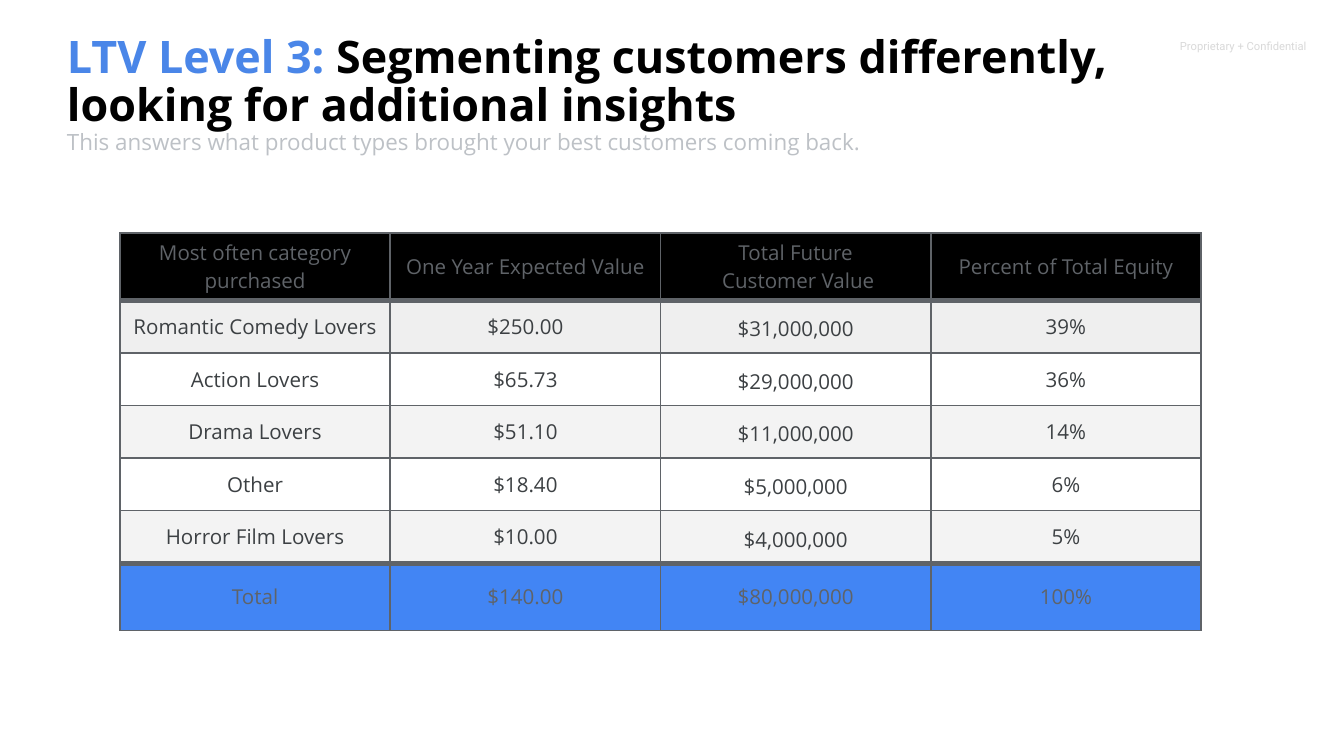
"""Build the customer lifetime value slide with a segment table."""
from lxml import etree
from pptx import Presentation
from pptx.dml.color import RGBColor
from pptx.enum.text import MSO_ANCHOR, PP_ALIGN
from pptx.oxml.ns import qn
from pptx.util import Pt

MIDDLE = MSO_ANCHOR.MIDDLE
CENTER = PP_ALIGN.CENTER
GRAY = "5F6368"
HEADER_ROW, FIRST_ROW, TOTAL_ROW = 0, 1, 6
FUTURE_VALUE_COLUMN = 2


def add_run(paragraph, text, size, color, font="Open Sans", bold=False):
    run = paragraph.add_run()
    run.text = text
    run.font.name = font
    run.font.size = Pt(size)
    run.font.bold = bold
    run.font.color.rgb = RGBColor.from_string(color)


def add_text_box(slide, left, top, width, height, horizontal_inset, vertical_inset):
    frame = slide.shapes.add_textbox(Pt(left), Pt(top), Pt(width), Pt(height)).text_frame
    frame.word_wrap = True
    frame.margin_left = frame.margin_right = Pt(horizontal_inset)
    frame.margin_top = frame.margin_bottom = Pt(vertical_inset)
    return frame


presentation = Presentation()
presentation.slide_width = Pt(720)
presentation.slide_height = Pt(405)
slide = presentation.slides.add_slide(presentation.slide_layouts[6])

notice = add_text_box(slide, 625, 17.3, 95, 24, 7.2, 7.2)
add_run(notice.paragraphs[0], "Proprietary + Confidential", 6, "D9D9D9", "Roboto")

heading = add_text_box(slide, 33, 17, 654.5, 18, 2.9, 1.4)
title = heading.paragraphs[0]
add_run(title, "LTV Level 3:", 24, "4A86E8", bold=True)
add_run(title, " Segmenting customers differently, looking for additional insights",
        24, "000000", bold=True)
subtitle = heading.add_paragraph()
add_run(subtitle, "This answers what product types brought your best customers coming back.",
        12, "BDC1C6")
for paragraph in heading.paragraphs:
    paragraph.line_spacing = 0.9

rows = [
    ["Most often category purchased", "One Year Expected Value",
     "Total Future\n Customer Value", "Percent of Total Equity"],
    ["Romantic Comedy Lovers", "$250.00", "$31,000,000", "39%"],
    ["Action Lovers", "$65.73", "$29,000,000", "36%"],
    ["Drama Lovers", "$51.10", "$11,000,000", "14%"],
    ["Other", "$18.40", "$5,000,000", "6%"],
    ["Horror Film Lovers", "$10.00", "$4,000,000", "5%"],
    ["Total", "$140.00", "$80,000,000", "100%"],
]
row_fills = ["000000", "EFEFEF", "FFFFFF", "F3F3F3", "FFFFFF", "F3F3F3", "4285F4"]

table = slide.shapes.add_table(
    len(rows), len(rows[0]), Pt(64.3), Pt(124.9), Pt(579.2), Pt(213)).table
table.first_row = False
table.horz_banding = False
for column in table.columns:
    column.width = Pt(144.8)

for row_index, (texts, fill) in enumerate(zip(rows, row_fills)):
    is_body = HEADER_ROW < row_index < TOTAL_ROW
    table.rows[row_index].height = Pt(28.2 if is_body else 36)
    borders = {
        "a:lnL": 1,
        "a:lnR": 1,
        "a:lnT": 3 if row_index in (FIRST_ROW, TOTAL_ROW) else 1,
        "a:lnB": 3 if row_index in (HEADER_ROW, TOTAL_ROW - 1) else 1,
    }
    for column_index, text in enumerate(texts):
        is_spaced = is_body and column_index == FUTURE_VALUE_COLUMN
        cell = table.cell(row_index, column_index)
        cell.fill.solid()
        cell.fill.fore_color.rgb = RGBColor.from_string(fill)
        cell.vertical_anchor = MIDDLE
        inset = Pt(0.7 if is_spaced else 1.4)
        cell.margin_left = cell.margin_right = inset
        cell.margin_top = cell.margin_bottom = inset

        for line_index, line in enumerate(text.split("\n")):
            frame = cell.text_frame
            paragraph = frame.add_paragraph() if line_index else frame.paragraphs[0]
            paragraph.alignment = CENTER
            if is_spaced:
                paragraph.line_spacing = 1.15
            add_run(paragraph, line, 11, "3C4043" if is_body else GRAY)

        properties = cell._tc.get_or_add_tcPr()
        for position, (tag, width) in enumerate(borders.items()):
            border = etree.Element(qn(tag), w=str(Pt(width)))
            solid = etree.SubElement(border, qn("a:solidFill"))
            etree.SubElement(solid, qn("a:srgbClr"), val=GRAY)
            properties.insert(position, border)

presentation.save("out.pptx")
